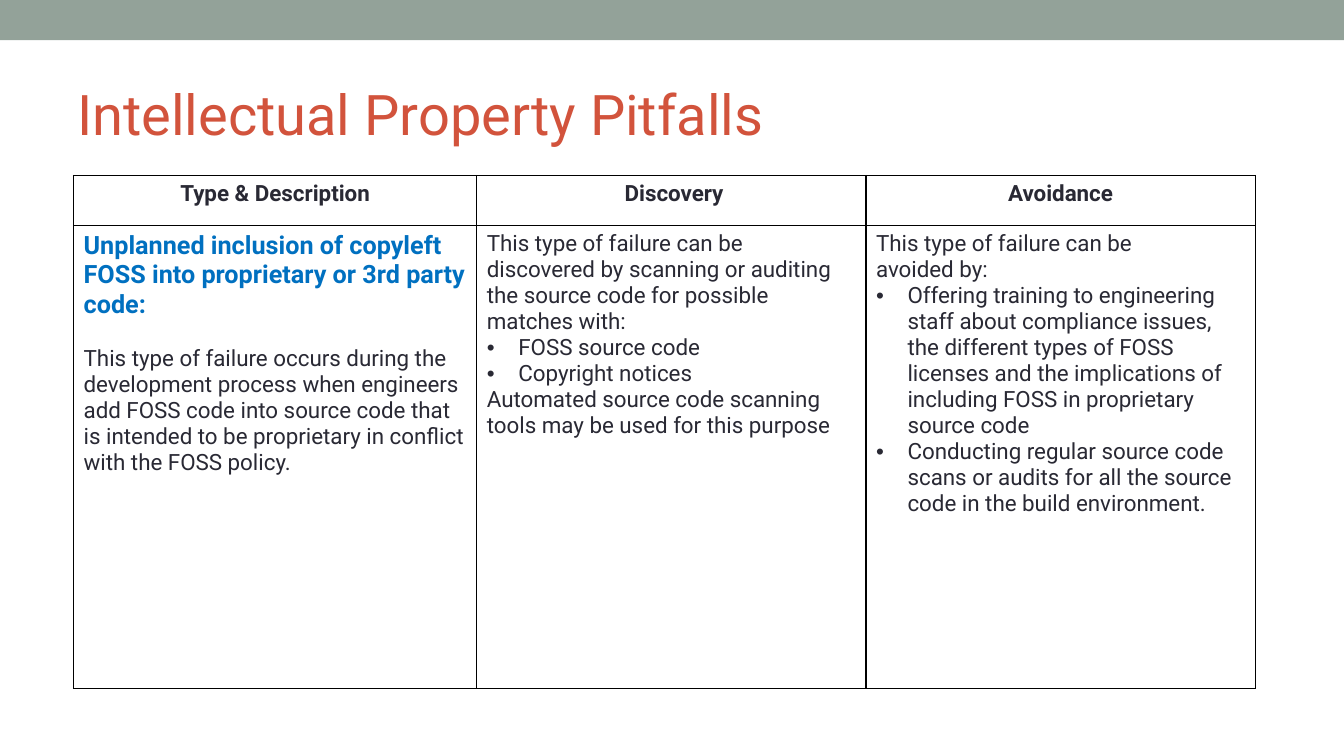
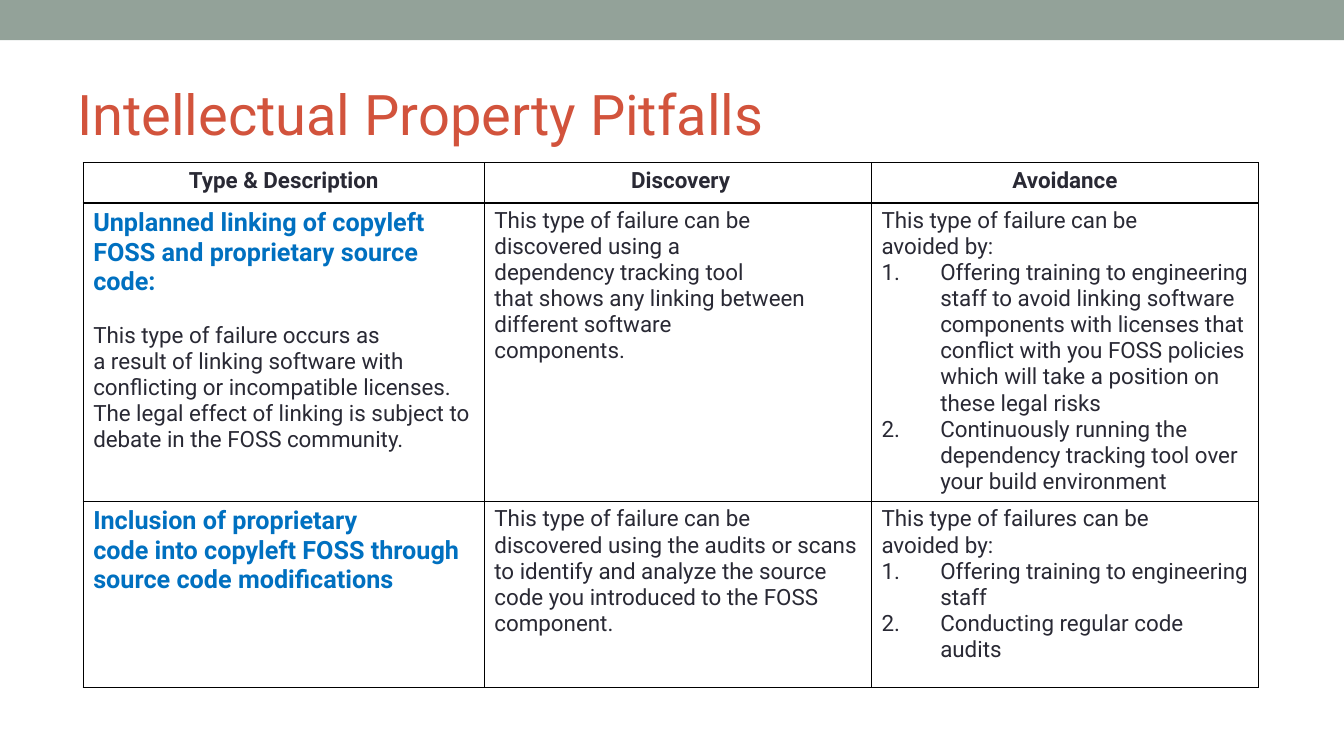
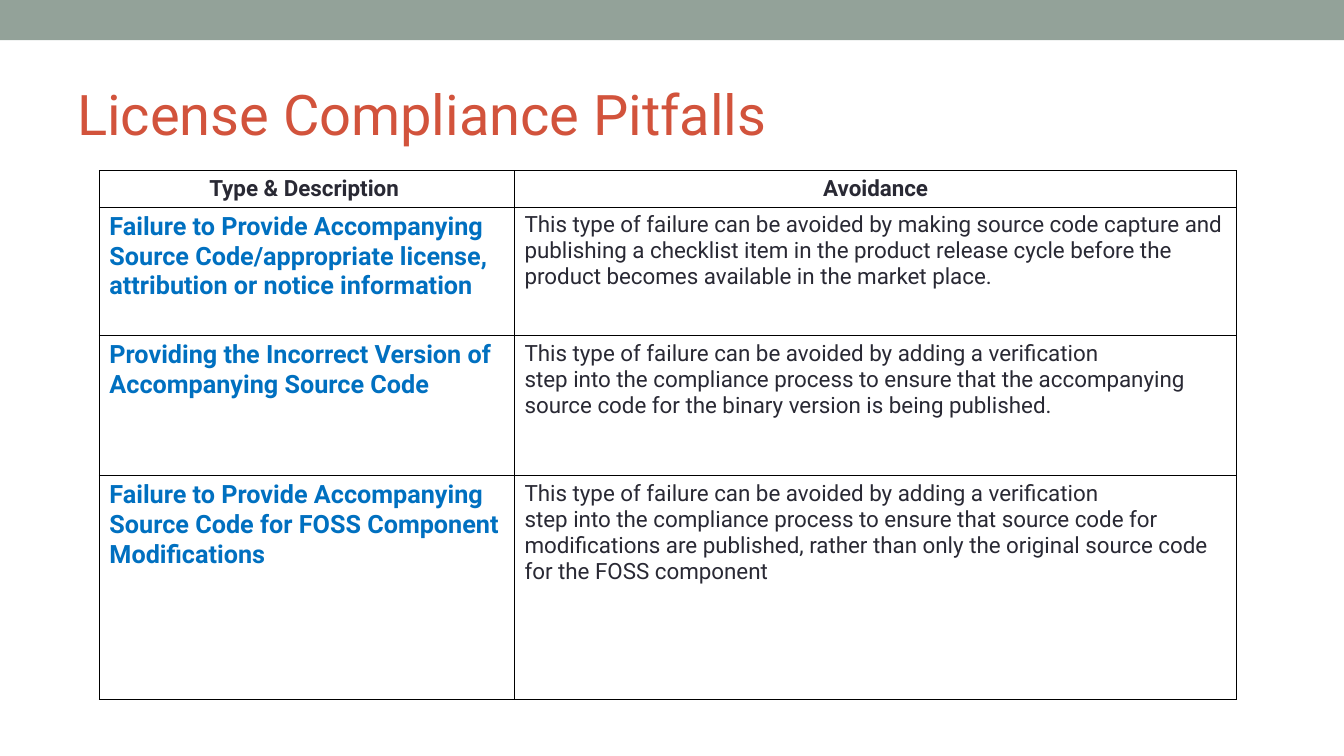
"""Build three slides of tables about open source compliance pitfalls."""
import pptx
import pptx.dml.color
import pptx.enum.shapes
import pptx.enum.text
import pptx.oxml
import pptx.oxml.ns
import pptx.util

Pt = pptx.util.Pt
RGBColor = pptx.dml.color.RGBColor
Align = pptx.enum.text.PP_ALIGN

SAGE = RGBColor(0x93, 0xA2, 0x99)
RUST = RGBColor(0xD2, 0x53, 0x3C)
INK = RGBColor(0x29, 0x29, 0x34)
BLUE = RGBColor(0x00, 0x70, 0xC0)
BLACK = RGBColor(0x00, 0x00, 0x00)
WHITE = RGBColor(0xFF, 0xFF, 0xFF)

FONT = "Roboto"
SLIDE_SIZE = (960, 540)
BAND_HEIGHT = 28.8
TITLE_BOX = {"left": 48, "top": 42, "width": 864, "height": 77.5}
BORDER_WIDTH = 1
BULLET = '<a:buFont {ns} typeface="Arial"/>', '<a:buChar {ns} char="•"/>'
NUMBER = ('<a:buAutoNum {ns} type="arabicPeriod"/>',)

STYLES = {
    "title": {"font": {"size": Pt(40), "bold": False}, "color": RUST,
              "para": {"alignment": Align.LEFT}},
    "header": {"font": {"size": Pt(16), "bold": True}, "color": INK,
               "para": {"alignment": Align.CENTER}},
    "pitfall": {"font": {"size": Pt(18), "bold": True}, "color": BLUE},
    "text": {"font": {"size": Pt(16), "bold": False}, "color": INK},
    "detail": {"font": {"size": Pt(16), "bold": False}, "color": INK,
               "para": {"space_before": Pt(18.75)}},
    "bullet": {"font": {"size": Pt(16), "bold": False}, "color": INK,
               "marker": BULLET, "hang": 22.5},
    "number": {"font": {"size": Pt(16), "bold": False}, "color": INK,
               "marker": NUMBER, "hang": 42},
}

HEADERS = [[("header", "Type & Description")], [("header", " Discovery")],
           [("header", "Avoidance")]]
FAILURE = ("text", "This type of failure can be")
AVOIDED = ("text", "avoided by:")
VERIFICATION = ("text", "This type of failure can be avoided by adding a verification")

SLIDES = [
    {
        "title": "Intellectual Property Pitfalls",
        "corner": (52.56, 125.28),
        "columns": [288, 278, 278],
        "heights": [36, 330.5],
        "rows": [HEADERS, [
            [("pitfall", "Unplanned inclusion of copyleft FOSS into proprietary or 3rd party code:"),
             ("detail", "This type of failure occurs during the development process when engineers "
                        "add FOSS code into source code that is intended to be proprietary in "
                        "conflict with the FOSS policy.")],
            [FAILURE,
             ("text", "discovered by scanning or auditing the source code for possible"),
             ("text", "matches with:"),
             ("bullet", "FOSS source code"),
             ("bullet", "Copyright notices"),
             ("text", "Automated source code scanning tools may be used for this purpose")],
            [FAILURE, AVOIDED,
             ("bullet", "Offering training to engineering staff about compliance issues, the "
                        "different types of FOSS licenses and the implications of including FOSS "
                        "in proprietary source code"),
             ("bullet", "Conducting regular source code scans or audits for all the source code "
                        "in the build environment.")],
        ]],
    },
    {
        "title": "Intellectual Property Pitfalls",
        "corner": (59.4, 116.25),
        "columns": [286.56, 276.5, 276.5],
        "heights": [28.8, 213, 133.2],
        "rows": [HEADERS, [
            [("pitfall", "Unplanned linking of copyleft FOSS and proprietary source code:"),
             ("detail", "This type of failure occurs as"),
             ("text", "a result of linking software with conflicting or incompatible licenses. "
                      "The legal effect of linking is subject to debate in the FOSS community.")],
            [FAILURE,
             ("text", "discovered using a"),
             ("text", "dependency tracking tool"),
             ("text", "that shows any linking between"),
             ("text", "different software"),
             ("text", "components.")],
            [FAILURE, AVOIDED,
             ("number", "Offering training to engineering staff to avoid linking software "
                        "components with licenses that conflict with you FOSS policies which "
                        "will take a position on these legal risks"),
             ("number", "Continuously running the dependency tracking tool over your build "
                        "environment")],
        ], [
            [("pitfall", "Inclusion of proprietary"),
             ("pitfall", "code into copyleft FOSS through"),
             ("pitfall", "source code modifications")],
            [FAILURE,
             ("text", "discovered using the audits or scans to identify and analyze the source "
                      "code you introduced to the FOSS component.")],
            [("text", "This type of failures can be"), AVOIDED,
             ("number", "Offering training to engineering staff"),
             ("number", "Conducting regular code audits")],
        ]],
    },
    {
        "title": "License Compliance Pitfalls",
        "corner": (71, 122),
        "columns": [296.5, 516],
        "heights": [26, 91.75, 100, 160],
        "rows": [[[("header", "Type & Description ")], HEADERS[2]], [
            [("pitfall", "Failure to Provide Accompanying Source Code/appropriate license, "
                         "attribution or notice information")],
            [("text", "This type of failure can be avoided by making source code capture and "
                      "publishing a checklist item in the product release cycle before the "
                      "product becomes available in the market place.")],
        ], [
            [("pitfall", "Providing the Incorrect Version of Accompanying Source Code")],
            [VERIFICATION,
             ("text", "step into the compliance process to ensure that the accompanying source "
                      "code for the binary version is being published.")],
        ], [
            [("pitfall", "Failure to Provide Accompanying Source Code for FOSS Component "
                         "Modifications")],
            [VERIFICATION,
             ("text", "step into the compliance process to ensure that source code for "
                      "modifications are published, rather than only the original source code "
                      "for the FOSS component")],
        ]],
    },
]


def make_element(markup):
    """Parse drawing markup into an element."""
    return pptx.oxml.parse_xml(markup.format(ns=pptx.oxml.ns.nsdecls("a")))


def apply_values(target, values):
    """Set each named attribute of the target."""
    for name, value in values.items():
        setattr(target, name, value)


def write_paragraphs(frame, lines):
    """Fill a text frame with styled paragraphs."""
    for index, (kind, text) in enumerate(lines):
        style = STYLES[kind]
        para = frame.add_paragraph() if index else frame.paragraphs[0]
        apply_values(para, style.get("para", {}))
        span = para.add_run()
        span.text = text
        apply_values(span.font, {"name": FONT, **style["font"]})
        span.font.color.rgb = style["color"]
        if "marker" in style:
            properties = para._p.get_or_add_pPr()
            properties.set("marL", str(Pt(style["hang"])))
            properties.set("indent", str(-Pt(style["hang"])))
            for markup in style["marker"]:
                properties.append(make_element(markup))


def draw_borders(cell):
    """Draw a thin line on the four sides of a cell."""
    properties = cell._tc.get_or_add_tcPr()
    for side in "LRTB":
        properties.append(make_element(
            f'<a:ln{side} {{ns}} w="{Pt(BORDER_WIDTH)}"><a:solidFill>'
            f'<a:srgbClr val="{BLACK}"/></a:solidFill></a:ln{side}>'))


def fill_solid(part, color):
    """Give a shape or cell a plain fill."""
    part.fill.solid()
    part.fill.fore_color.rgb = color


def add_pitfall_table(page, content):
    """Add the table of one slide."""
    columns, heights = content["columns"], content["heights"]
    left, top = content["corner"]
    table = page.shapes.add_table(len(heights), len(columns), Pt(left), Pt(top),
                                  Pt(sum(columns)), Pt(sum(heights))).table
    apply_values(table, {"first_row": False, "horz_banding": False})
    for column, width in zip(table.columns, columns):
        column.width = Pt(width)
    for row, height, cells in zip(table.rows, heights, content["rows"]):
        row.height = Pt(height)
        for cell, lines in zip(row.cells, cells):
            write_paragraphs(cell.text_frame, lines)
            draw_borders(cell)
            fill_solid(cell, WHITE)


def add_band(page):
    """Add the coloured band along the top edge."""
    band = page.shapes.add_shape(pptx.enum.shapes.MSO_SHAPE.RECTANGLE, 0, 0,
                                 Pt(SLIDE_SIZE[0]), Pt(BAND_HEIGHT))
    band.shadow.inherit = False
    fill_solid(band, SAGE)
    band.line.fill.background()


def main():
    """Build and save the deck."""
    deck = pptx.Presentation()
    deck.slide_width, deck.slide_height = map(Pt, SLIDE_SIZE)
    layout = deck.slide_layouts.get_by_name("Title Only")
    apply_values(layout.placeholders[0],
                 {name: Pt(value) for name, value in TITLE_BOX.items()})
    for content in SLIDES:
        page = deck.slides.add_slide(layout)
        add_band(page)
        write_paragraphs(page.shapes.title.text_frame, [("title", content["title"])])
        add_pitfall_table(page, content)
    deck.save("out.pptx")


if __name__ == "__main__":
    main()
